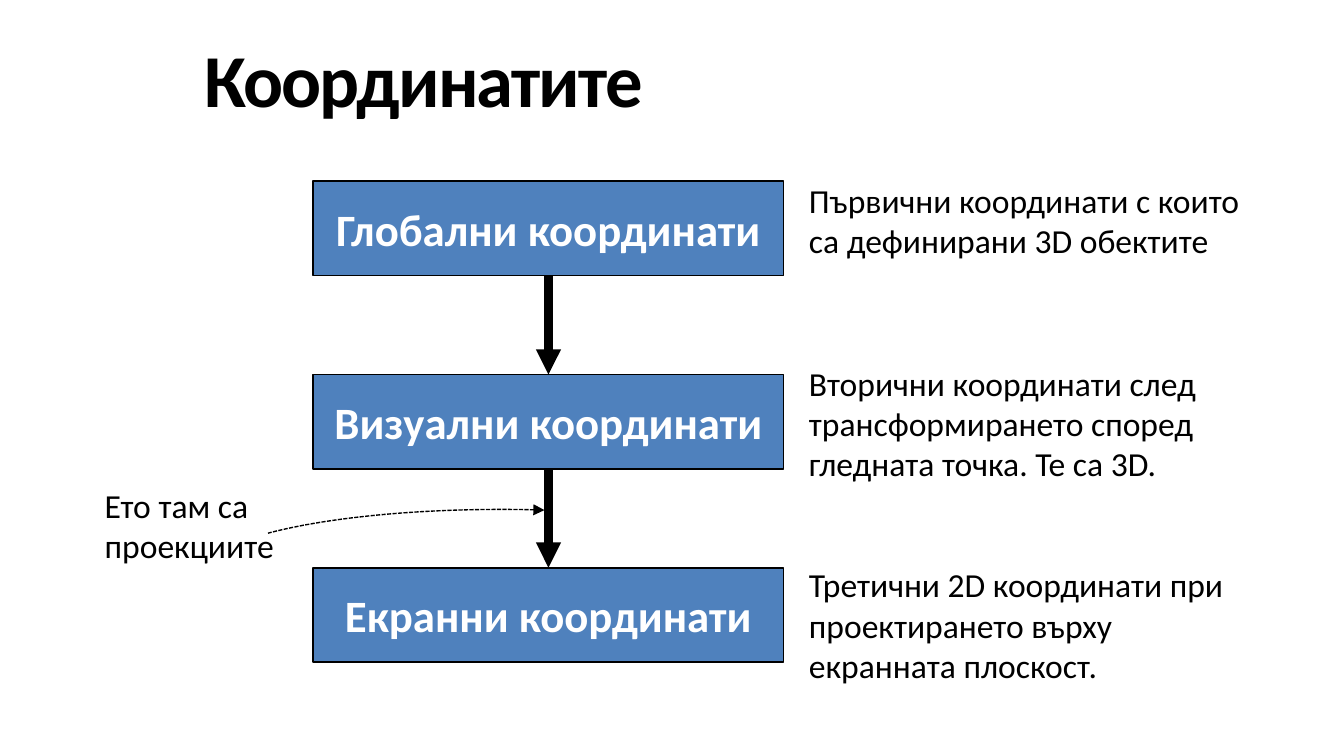
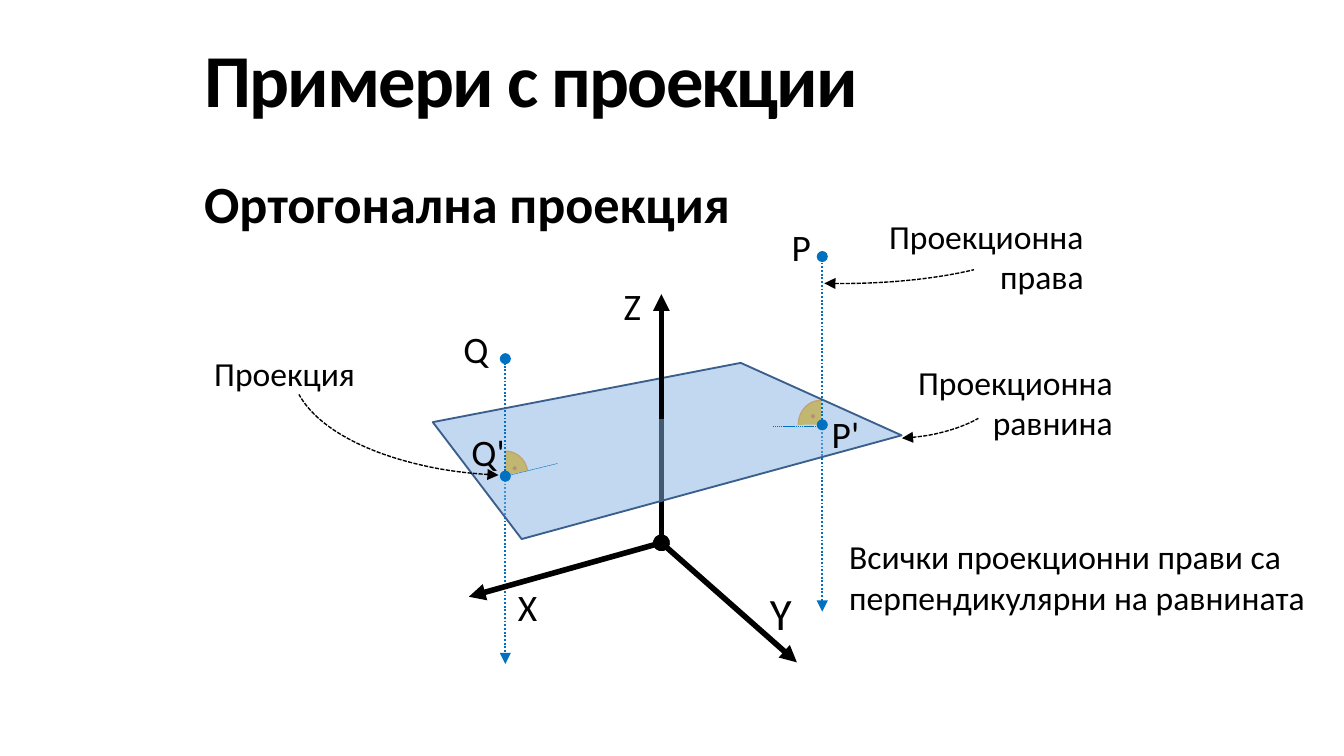
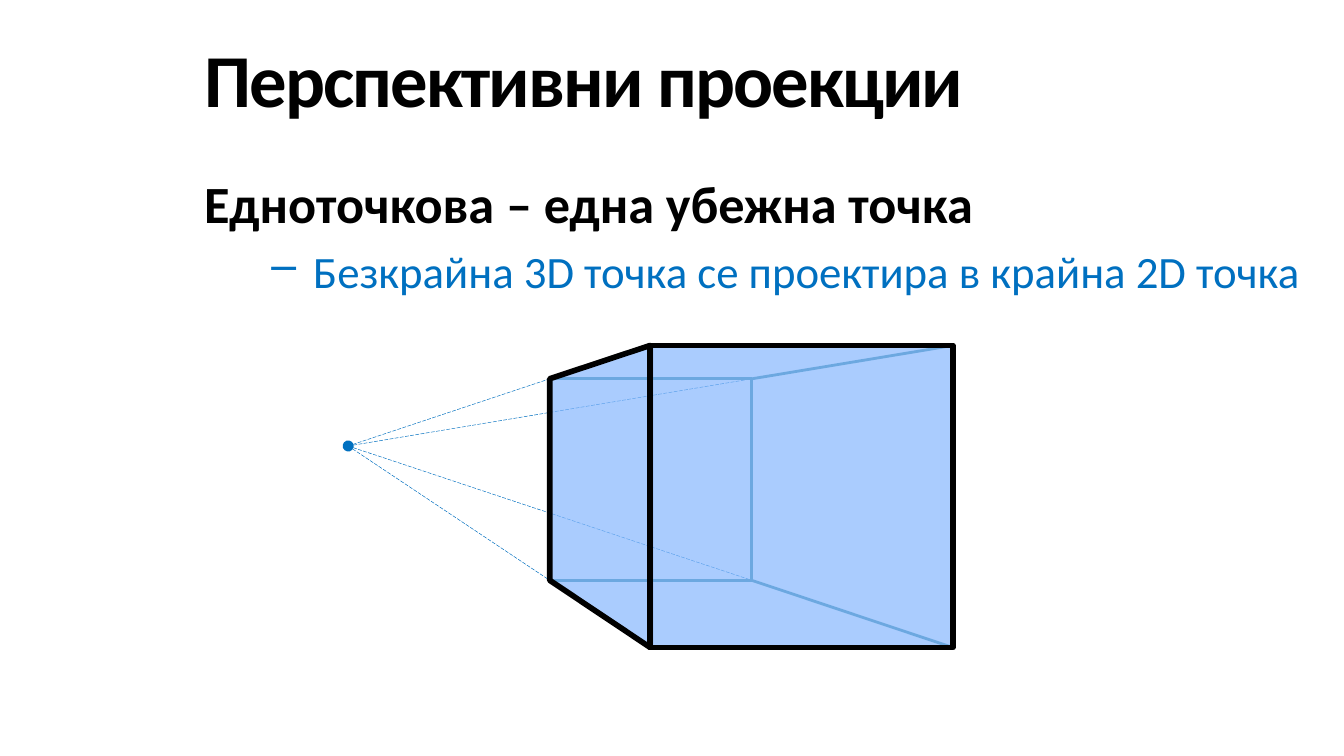
from lxml import etree
from pptx import Presentation
from pptx.dml.color import RGBColor
from pptx.enum.dml import MSO_LINE
from pptx.enum.shapes import MSO_CONNECTOR, MSO_SHAPE
from pptx.enum.text import MSO_ANCHOR, MSO_AUTO_SIZE, PP_ALIGN
from pptx.oxml.ns import qn
from pptx.util import Cm, Pt

LEFT, MID, RIGHT = PP_ALIGN.LEFT, PP_ALIGN.CENTER, PP_ALIGN.RIGHT
DOT, DASH, LONG = MSO_LINE.ROUND_DOT, MSO_LINE.SQUARE_DOT, MSO_LINE.LONG_DASH
FONT = "Calibri"
BLACK = RGBColor(0x00, 0x00, 0x00)
WHITE = RGBColor(0xFF, 0xFF, 0xFF)
BOX = RGBColor(0x4F, 0x81, 0xBD)
BLUE = RGBColor(0x00, 0x70, 0xC0)
GOLD = RGBColor(0xFF, 0xC0, 0x00)
ORANGE = RGBColor(0xFF, 0x99, 0x00)
RUST = RGBColor(0xE4, 0x6C, 0x0A)
PLANE = RGBColor(0x86, 0xB0, 0xE2)
RIM = RGBColor(0x3A, 0x5F, 0x8C)
FACE = RGBColor(0x86, 0xB7, 0xFE)
TEAL = RGBColor(0x31, 0x85, 0x9C)

# Slide 1: box label, note, top and height of the note
STEPS = [
    ("Глобални координати",
     "Първични координати с които са дефинирани 3D обектите", 3.28, 1.8),
    ("Визуални координати",
     "Вторични координати след трансформирането според гледната точка. "
     "Те са 3D.", 6.73, 2.57),
    ("Екранни координати",
     "Третични 2D координати при проектирането върху екранната плоскост.",
     10.54, 2.57),
]
STEP_X, STEP_Y, STEP_W, STEP_H, PITCH = 5.92, 3.43, 8.89, 1.78, 3.65

# Slide 2: points are (x, y), areas are (left, top, width, height)
ORIGIN, ZMID = (12.5, 10.26), (12.5, 7.92)
X_END, Y_END, Z_END = (8.86, 11.28), (15.06, 12.52), (12.5, 5.56)
CORNERS = [(14, 6.86), (17.04, 8.23), (9.86, 10.19), (8.18, 7.98)]
# point, its projection, end of the ray
RAYS = [((9.55, 6.78), (9.55, 9), (9.55, 12.55)),
        ((15.54, 4.85), (15.54, 8.03), (15.54, 11.56))]
# right-angle sector, its angles, flip, place of its dot
SECTORS = [((15.09, 7.57, 0.84, 0.91), (268.39, 0.83), "H", (15.04, 7.16)),
           ((9.14, 8.53, 0.84, 0.91), (268.39, 347.38), "", (9.4, 8.13))]
LEGS = [((9.6, 8.99), (10.54, 8.76)), ((14.61, 8.05), (15.54, 8.05))]
LETTERS = [
    ("Z", (11.43, 5.23, 1.04, 1.12), 20, MID),
    ("X", (9.45, 10.92, 1.04, 1.12), 20, MID),
    ("Y", (14.27, 10.95, 0.97, 1.27), 24, MID),
    ("P", (14.71, 4.11, 0.86, 1.12), 20, LEFT),
    ("P'", (15.47, 7.65, 1.07, 1.12), 20, LEFT),
    ("Q", (8.51, 6.05, 0.86, 1.12), 20, LEFT),
    ("Q'", (8.66, 7.98, 1.22, 1.12), 20, LEFT),
]
NOTES = [
    ("Всички проекционни прави са перпендикулярни на равнината",
     (15.8, 10.01, 9.18, 1.8), LEFT),
    ("Проекция", (3.3, 6.55, 3.66, 1.02), RIGHT),
    ("Проекционна права", (16.54, 3.96, 4.19, 1.8), RIGHT),
    ("Проекционна равнина", (16.61, 6.71, 4.67, 1.8), RIGHT),
]
HINTS = [((5.51, 4.88, 8.59, 4.11), (100.59, 172.82), ""),
         ((11.99, 3.12, 7.82, 2.24), (254.03, 341.11), "V"),
         ((14.55, 6.05, 4.5, 2.24), (282.54, 336.42), "V")]

# Slide 3: the vanishing point and the corners of the far and near faces
EYE = (6.58, 8.43)
FAR = [(10.39, 7.16), (14.21, 7.16), (14.21, 10.97), (10.39, 10.97)]
NEAR = [(12.29, 6.53), (18.01, 6.53), (18.01, 12.24), (12.29, 12.24)]


def style(para, size, color=BLACK, bold=False, align=LEFT):
    para.alignment = align
    for run in para.runs:
        font = run.font
        font.name, font.size, font.bold = FONT, Pt(size), bold
        font.color.rgb = color


def start(deck, title):
    slide = deck.slides.add_slide(deck.slide_layouts[5])
    head = slide.shapes.title
    head.left, head.top, head.width, head.height = map(
        Cm, (3.61, 0.38, 21.79, 2.16))
    frame = head.text_frame
    frame.text = title
    frame.vertical_anchor = MSO_ANCHOR.MIDDLE
    para = frame.paragraphs[0]
    style(para, 40, bold=True)
    para.runs[0].font._element.set("spc", "-100")
    return slide.shapes


def write(shapes, text, area, size=18, align=LEFT, color=BLACK):
    frame = shapes.add_textbox(*map(Cm, area)).text_frame
    frame.word_wrap = True
    frame.auto_size = MSO_AUTO_SIZE.SHAPE_TO_FIT_TEXT
    frame.text = text
    style(frame.paragraphs[0], size, color, align=align)


def lead(shapes, text, point=None):
    """Write the bold heading and, below it, an optional dashed point."""
    frame = shapes.add_textbox(*map(Cm, (3.61, 3.12, 21.79, 10.36))).text_frame
    frame.word_wrap = True
    frame.text = text
    style(frame.paragraphs[0], 28, bold=True)
    if point:
        para = frame.add_paragraph()
        para.text = point
        props = para._p.get_or_add_pPr()
        props.set("marL", str(Cm(2.06)))
        props.set("indent", str(Cm(-0.79)))
        etree.SubElement(props, qn("a:buChar")).set("char", "–")
        para.space_before = Pt(4.8)
        style(para, 24, BLUE)


def stroke(shape, color, width, dash=None, head=None, tail=None):
    line = shape.line
    line.color.rgb, line.width = color, Pt(width)
    if dash:
        line.dash_style = dash
    for tag, end in (("a:headEnd", head), ("a:tailEnd", tail)):
        if end:
            etree.SubElement(line._get_or_add_ln(), qn(tag)).set("type", end)


def link(shapes, a, b, color, width, dash=None, head=None, tail=None):
    line = shapes.add_connector(MSO_CONNECTOR.STRAIGHT, *map(Cm, a + b))
    etree.SubElement(line._element.spPr, qn("a:effectLst"))
    stroke(line, color, width, dash, head, tail)
    # the effect list has to follow the line settings
    props = line._element.spPr
    props.append(props.find(qn("a:effectLst")))


def arc(shapes, area, angles, flip):
    shape = shapes.add_shape(MSO_SHAPE.ARC, *map(Cm, area))
    shape.shadow.inherit = False
    for i, angle in enumerate(angles):
        shape.adjustments[i] = angle * 0.6
    if flip:
        shape._element.spPr.find(qn("a:xfrm")).set("flip" + flip, "1")
    return shape


def hint(shapes, area, angles, flip):
    shape = arc(shapes, area, angles, flip)
    shape.fill.background()
    stroke(shape, BLACK, 0.75, DASH, head="triangle")


def panel(shapes, points, fill, alpha, color, width):
    """Draw a closed outline with a see-through fill."""
    points = [tuple(map(Cm, p)) for p in points]
    path = shapes.build_freeform(*points[0])
    path.add_line_segments(points[1:], close=True)
    shape = path.convert_to_shape()
    shape.shadow.inherit = False
    shape.fill.solid()
    shape.fill.fore_color.rgb = fill
    tint = shape._element.spPr.find(qn("a:solidFill"))[0]
    etree.SubElement(tint, qn("a:alpha")).set("val", str(alpha * 1000))
    stroke(shape, color, width)


def coords(deck):
    shapes = start(deck, "Координатите")
    mid = STEP_X + STEP_W / 2
    for i, (label, note, top, height) in enumerate(STEPS):
        y = STEP_Y + i * PITCH
        box = shapes.add_shape(MSO_SHAPE.RECTANGLE,
                               *map(Cm, (STEP_X, y, STEP_W, STEP_H)))
        box.shadow.inherit = False
        box.fill.solid()
        box.fill.fore_color.rgb = BOX
        stroke(box, BLACK, 1)
        box.text_frame.text = label
        box.text_frame.vertical_anchor = MSO_ANCHOR.MIDDLE
        style(box.text_frame.paragraphs[0], 24, WHITE, True, MID)
        write(shapes, note, (15.04, top, 8.89, height))
        if i:
            link(shapes, (mid, y - PITCH + STEP_H), (mid, y), BLACK, 4.5,
                 tail="triangle")
    write(shapes, "Ето там са\vпроекциите", (1.73, 9.04, 4.88, 1.8))
    hint(shapes, (3.84, 9.63, 11.23, 2.39), (234.71, 350.36), "H")


def ortho(deck):
    shapes = start(deck, "Примери с проекции")
    for area, angles, flip, dot in SECTORS:
        shape = arc(shapes, area, angles, flip)
        shape.fill.solid()
        shape.fill.fore_color.rgb = GOLD
        stroke(shape, ORANGE, 0.75)
        write(shapes, ".", dot + (0.76, 1.02), color=RUST)
    lead(shapes, "Ортогонална проекция")
    for _, foot, end in RAYS:
        link(shapes, foot, end, BLUE, 1, DOT, tail="triangle")
    for end in (X_END, Y_END):
        link(shapes, ORIGIN, end, BLACK, 3, head="oval", tail="triangle")
    link(shapes, ORIGIN, ZMID, BLACK, 3)
    panel(shapes, CORNERS, PLANE, 50, RIM, 1)
    link(shapes, ZMID, Z_END, BLACK, 3, tail="triangle")
    for text, area, size, align in LETTERS:
        write(shapes, text, area, size, align)
    for a, b in LEGS:
        link(shapes, a, b, BLUE, 0.25, DASH)
    for top, foot, _ in RAYS:
        link(shapes, foot, top, BLUE, 1, DOT, "oval", "oval")
    for text, area, align in NOTES:
        write(shapes, text, area, align=align)
    for area, angles, flip in HINTS:
        hint(shapes, area, angles, flip)


def persp(deck):
    shapes = start(deck, "Перспективни проекции")
    lead(shapes, "Едноточкова – една убежна точка",
         "Безкрайна 3D точка се проектира в крайна 2D точка")
    for i, corner in enumerate(FAR):
        link(shapes, EYE, corner, BLUE, 0.25, LONG, None if i else "oval")
    hidden = [(FAR[0], FAR[1]), (FAR[1], FAR[2]), (FAR[2], FAR[3]),
              (FAR[1], NEAR[1]), (FAR[2], NEAR[2])]
    for a, b in hidden:
        link(shapes, a, b, TEAL, 1.5)
    for face in ([NEAR[0], FAR[0], FAR[3], NEAR[3]], NEAR):
        panel(shapes, face, FACE, 70, BLACK, 3)


def main():
    deck = Presentation()
    deck.slide_width, deck.slide_height = Cm(25.4), Cm(14.29)
    for build in (coords, ortho, persp):
        build(deck)
    deck.save("out.pptx")


if __name__ == "__main__":
    main()
